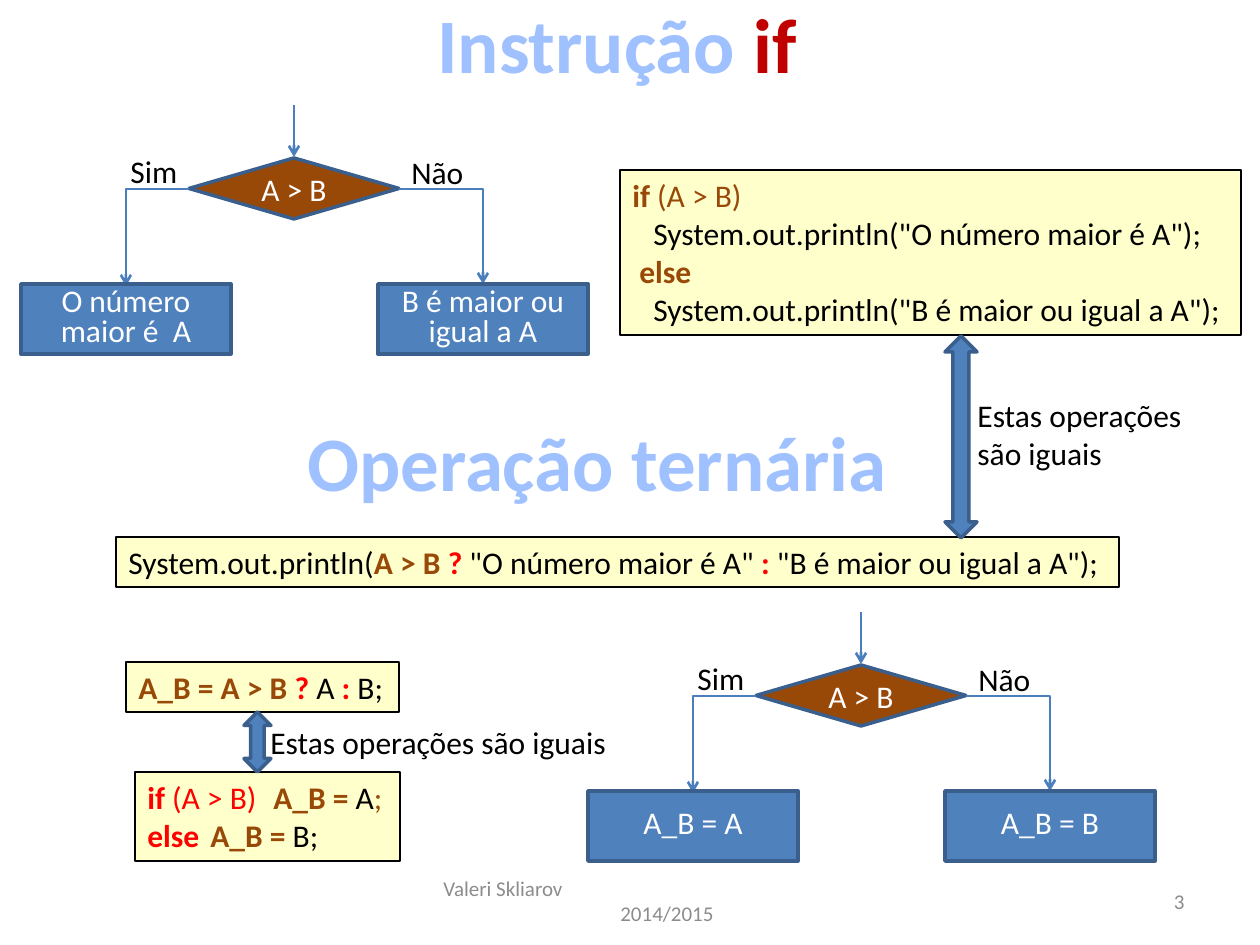
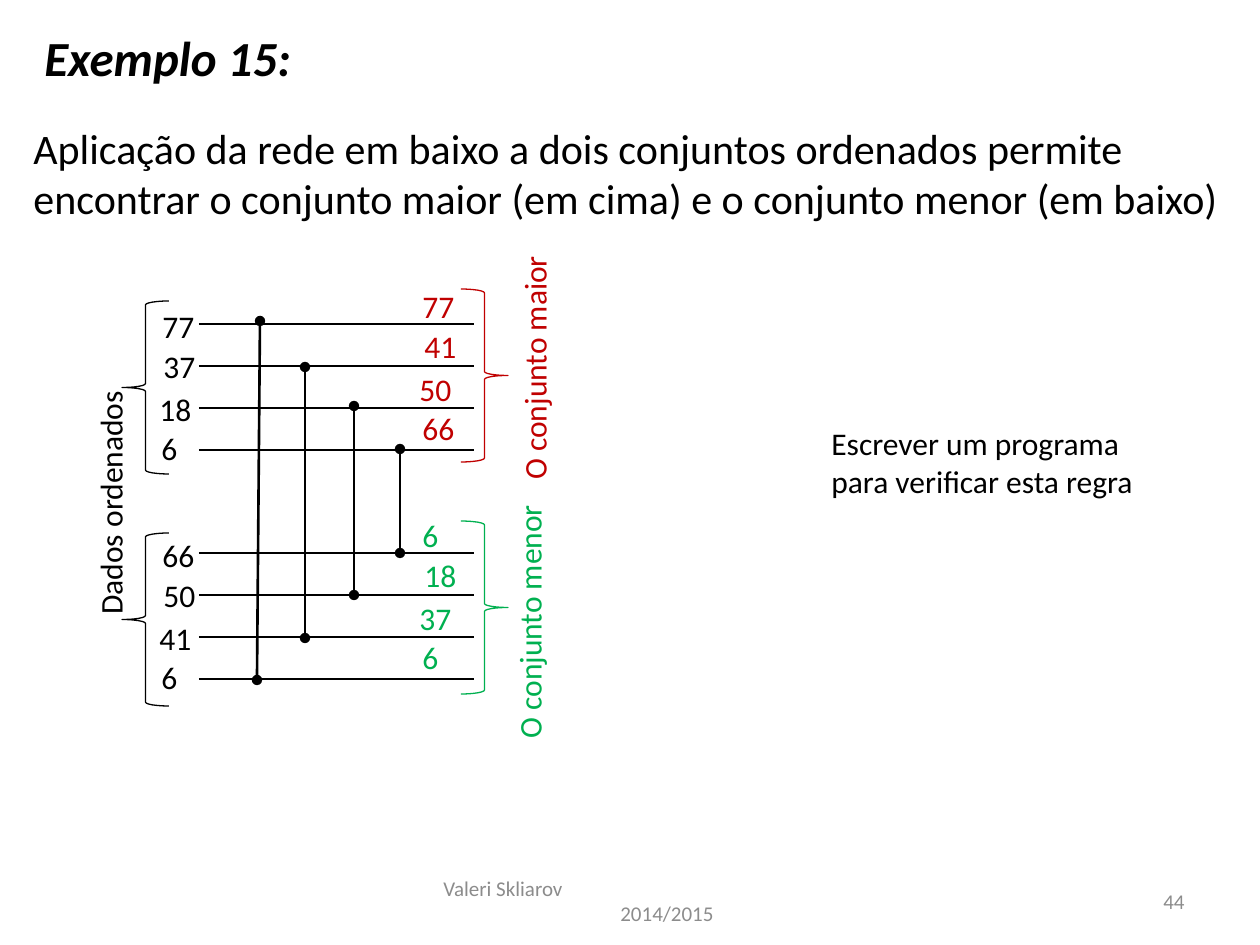
import pptx
import pptx.util
import pptx.dml.color
import pptx.enum.shapes
import pptx.enum.text
import pptx.oxml
import pptx.oxml.ns

SHAPE = pptx.enum.shapes.MSO_SHAPE
LINK = pptx.enum.shapes.MSO_CONNECTOR
ALIGN = pptx.enum.text.PP_ALIGN
ANCHOR = pptx.enum.text.MSO_ANCHOR
FIT = pptx.enum.text.MSO_AUTO_SIZE

PX_PER_INCH = 126
FONT = "Calibri"
BLACK, WHITE, GREY = "000000", "FFFFFF", "8C8C8C"
RED, DARK_RED, GREEN, BROWN = "FF0000", "C00000", "00B050", "984807"
SKY, BLUE, EDGE, LINK_BLUE, CREAM = "A0C1FF", "4F81BD", "3A5F8C", "4B7EBC", "FFFFCC"

# A run is (text, colour, bold); a line of text is (indent, runs).
AUTHOR = [(0, [("Valeri Skliarov", GREY, False)]),
          (177, [("2014/2015", GREY, False)])]
EQUAL = "Estas operações são iguais"

TITLES = [
    ((423, -10, 388, 106), [("Instrução ", SKY, True), ("if", DARK_RED, True)]),
    ((292, 408, 611, 106), [("Operação ternária", SKY, True)]),
]
CODE = [
    ((620, 170, 621, 165), [
        (0, [("if", BROWN, True), (" (A > B)", BROWN, False)]),
        (21, [('System.out.println("O número maior é A");', BLACK, False)]),
        (7, [("else", BROWN, True)]),
        (21, [('System.out.println("B é maior ou igual a A");', BLACK, False)]),
    ]),
    ((116, 537, 1003, 50), [
        (0, [("System.out.println(", BLACK, False), ("A > B ", BROWN, True), ("?", RED, True),
             (' "O número maior é A" ', BLACK, False), (":", RED, True),
             (' "B é maior ou igual a A");', BLACK, False)]),
    ]),
    ((126, 662, 273, 50), [
        (0, [("A_B = A > B ", BROWN, True), ("? ", RED, True), ("A ", BLACK, False),
             (": ", RED, True), ("B;", BLACK, False)]),
    ]),
    ((135, 772, 265, 89), [
        (0, [("if", RED, True), (" (A > B)\t", RED, False), ("A_B = ", BROWN, True),
             ("A", BLACK, False), (";", BROWN, False)]),
        (0, [("else\t", RED, True), ("A_B = ", BROWN, True), ("B;", BLACK, False)]),
    ]),
]
# Offset from the first flowchart, then the two outcomes.
FLOWCHARTS = [
    (0, 0, "O número maior é  A", "B é maior ou igual a A"),
    (567, 507, "A_B = A", "A_B = B"),
]
DOUBLE_ARROWS = [(244, 712, 27, 60), (945, 336, 32, 202)]

# Inputs, outputs, output colour for each half of the network.
HALVES = [
    (["77", "37", "18", "6"], ["77", "41", "50", "66"], DARK_RED),
    (["66", "50", "41", "6"], ["6", "18", "37", "6"], GREEN),
]
COMPARATORS = [(260, 321, 257, 680), (305, 367, 305, 638),
               (354, 406, 354, 595), (400, 449, 400, 553)]
LABEL_TOPS = [0, 40, 83, 122]
INPUT_SHIFTS, OUTPUT_SHIFTS = [0, 1, -3, -1], [0, 2, -3, 0]
SIDE_TITLES = [
    ("Dados ordenados", BLACK, (-16, 476, 252, 50)),
    ("O conjunto maior", DARK_RED, (408, 341, 252, 50)),
    ("O conjunto menor", GREEN, (398, 595, 262, 50)),
]


def px(*values):
    return [round(value * 914400 / PX_PER_INCH) for value in values]


def color(value):
    return pptx.dml.color.RGBColor.from_string(value)


def apply(target, formats):
    for name, value in formats.items():
        setattr(target, name, value)


def write(box, lines, size=18, align=ALIGN.LEFT, spacing=None, italic=False, **frame):
    apply(box.text_frame, {"word_wrap": True, "vertical_anchor": ANCHOR.TOP, **frame})
    for index, (indent, runs) in enumerate(lines):
        para = box.text_frame.paragraphs[0] if index == 0 else box.text_frame.add_paragraph()
        apply(para, {"alignment": align, "line_spacing": spacing})
        if indent:
            para._p.get_or_add_pPr().set("marL", str(px(indent)[0]))
        for text, ink, bold in runs:
            span = para.add_run()
            span.text = text
            apply(span.font, {"name": FONT, "size": pptx.util.Pt(size),
                              "bold": bold, "italic": italic})
            span.font.color.rgb = color(ink)


def add_text(page, place, lines, **formats):
    box = page.shapes.add_textbox(*px(*place))
    write(box, lines, **formats)
    return box


def add_label(page, place, text, ink=BLACK, bold=False, **formats):
    """One-run text that grows with its content, unwrapped unless told otherwise."""
    formats = {"word_wrap": False, "auto_size": FIT.SHAPE_TO_FIT_TEXT, **formats}
    return add_text(page, place, [(0, [(text, ink, bold)])], **formats)


def add_figure(page, kind, place, fill, edge, width):
    figure = page.shapes.add_shape(kind, *px(*place))
    figure.shadow.inherit = False
    if fill:
        figure.fill.solid()
        figure.fill.fore_color.rgb = color(fill)
    else:
        figure.fill.background()
    figure.line.color.rgb = color(edge)
    figure.line.width = pptx.util.Pt(width)
    return figure


def add_link(page, points, ink=BLACK, head=None, tail=None, bent=False):
    link = page.shapes.add_connector(LINK.ELBOW if bent else LINK.STRAIGHT, *px(*points))
    link.line.color.rgb = color(ink)
    link.line.width = pptx.util.Pt(1.5)
    properties = link._element.spPr
    if bent:
        properties.find(pptx.oxml.ns.qn("a:prstGeom")).set("prst", "bentConnector2")
    for tag, end in (("headEnd", head), ("tailEnd", tail)):
        if end:
            link.line._get_or_add_ln().append(pptx.oxml.parse_xml(
                f'<a:{tag} {pptx.oxml.ns.nsdecls("a")} type="{end}"/>'))
    properties.append(pptx.oxml.parse_xml(f'<a:effectLst {pptx.oxml.ns.nsdecls("a")}/>'))


def add_page(deck, number):
    page = deck.slides.add_slide(deck.slide_layouts[6])
    add_text(page, (431, 876, 399, 50), AUTHOR, size=12, vertical_anchor=ANCHOR.MIDDLE)
    add_text(page, (903, 876, 294, 50), [(0, [(number, GREY, False)])], size=12,
             align=ALIGN.RIGHT, vertical_anchor=ANCHOR.MIDDLE)
    return page


def add_flowchart(page, dx, dy, yes, no):
    centred = {"align": ALIGN.CENTER, "vertical_anchor": ANCHOR.MIDDLE}
    decision = add_figure(page, SHAPE.FLOWCHART_DECISION,
                          (189 + dx, 158 + dy, 210, 61), BROWN, EDGE, 2)
    write(decision, [(0, [("A > B", WHITE, False)])], **centred)
    for x1, y1, x2, y2, bent in [(294, 105, 294, 157, False), (189, 189, 126, 286, True),
                                 (399, 189, 483, 284, True)]:
        add_link(page, (x1 + dx, y1 + dy, x2 + dx, y2 + dy), LINK_BLUE,
                 tail="arrow", bent=bent)
    add_label(page, (118 + dx, 146 + dy, 73, 50), "Sim")
    add_label(page, (399 + dx, 147 + dy, 78, 50), "Não")
    for left, outcome in ((21, yes), (378, no)):
        box = add_figure(page, SHAPE.RECTANGLE, (left + dx, 284 + dy, 210, 70), BLUE, EDGE, 2)
        write(box, [(0, [(outcome, WHITE, False)])], spacing=pptx.util.Pt(17), **centred)


def build_if_page(deck):
    page = add_page(deck, "3")
    for place, runs in TITLES:
        add_text(page, place, [(0, runs)], size=44, align=ALIGN.CENTER, word_wrap=False,
                 auto_size=FIT.SHAPE_TO_FIT_TEXT)
    for place, lines in CODE:
        box = add_figure(page, SHAPE.RECTANGLE, place, CREAM, BLACK, 0.75)
        write(box, lines, word_wrap=False, auto_size=FIT.SHAPE_TO_FIT_TEXT)
    for flowchart in FLOWCHARTS:
        add_flowchart(page, *flowchart)
    for place in DOUBLE_ARROWS:
        add_figure(page, SHAPE.UP_DOWN_ARROW, place, BLUE, EDGE, 2)
    add_label(page, (258, 717, 364, 50), EQUAL)
    add_label(page, (965, 390, 234, 84), EQUAL, word_wrap=True)


def add_values(page, values, left, top, shifts, ink):
    for value, shift, drop in zip(values, shifts, LABEL_TOPS):
        width = 58 if len(value) == 2 else 42
        add_label(page, (left + shift, top + drop, width, 50), value, ink)


def build_network_page(deck):
    page = add_page(deck, "44")
    add_label(page, (32, 21, 275, 72), "Exemplo 15:", bold=True, italic=True, size=28)
    add_label(page, (21, 116, 1229, 115),
              "Aplicação da rede em baixo a dois conjuntos ordenados permite "
              "encontrar o conjunto maior (em cima) e o conjunto menor (em baixo)",
              size=24, word_wrap=True)
    for half, (inputs, outputs, ink) in enumerate(HALVES):
        drop = half * 229
        for row in range(len(inputs)):
            y = 324 + drop + row * 42
            add_link(page, (199, y, 474, y))
        add_values(page, inputs, 150, 301 + drop, INPUT_SHIFTS, BLACK)
        add_values(page, outputs, 410, 281 + drop, OUTPUT_SHIFTS, ink)
        brace_drop = half * 232
        add_figure(page, SHAPE.LEFT_BRACE, (122, 301 + brace_drop, 47, 173), None, BLACK, 0.75)
        add_figure(page, SHAPE.RIGHT_BRACE, (461, 289 + brace_drop, 47, 173), None, ink, 0.75)
    for points in COMPARATORS:
        add_link(page, points, head="oval", tail="oval")
    for text, ink, place in SIDE_TITLES:
        add_label(page, place, text, ink).rotation = 270
    add_label(page, (819, 418, 330, 89), "Escrever um programa para verificar esta regra",
              word_wrap=True)


def main():
    deck = pptx.Presentation()
    deck.slide_width, deck.slide_height = px(1260, 945)
    build_if_page(deck)
    build_network_page(deck)
    deck.save("out.pptx")


if __name__ == "__main__":
    main()
